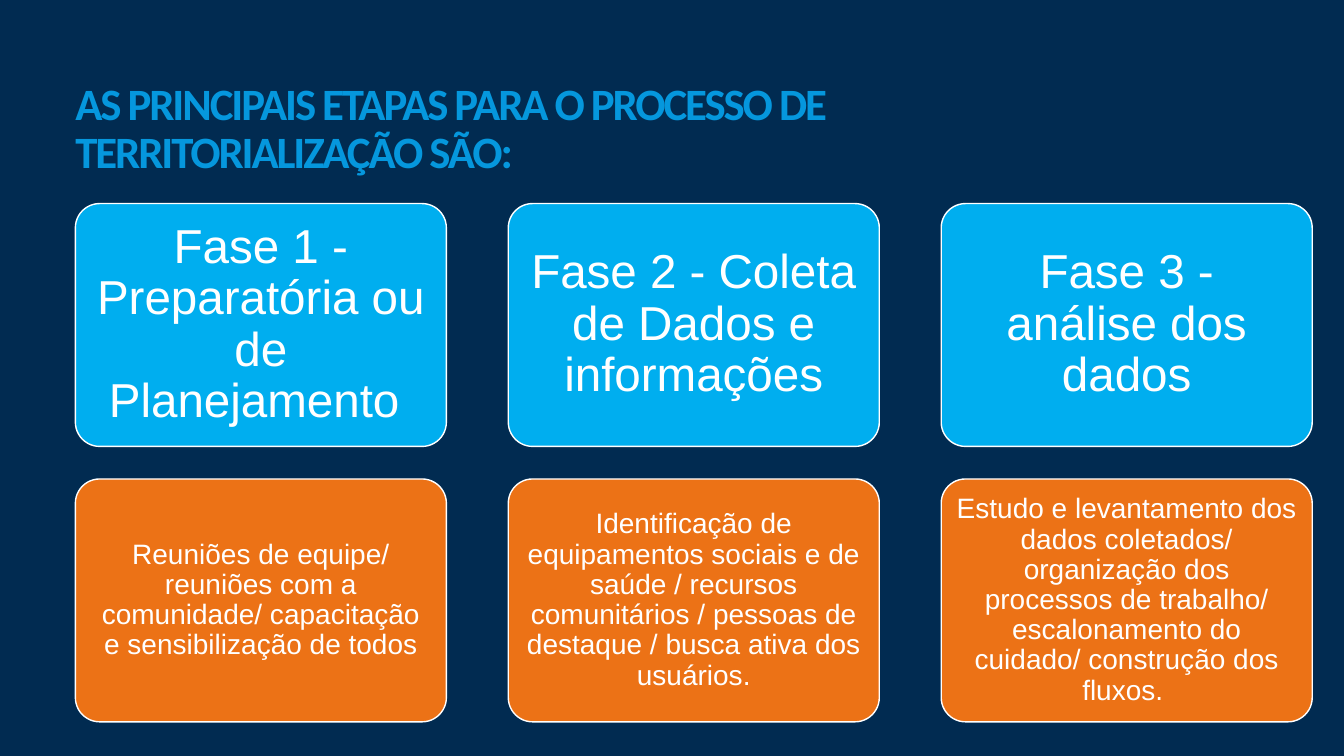
from dataclasses import dataclass

from pptx import Presentation
from pptx.dml.color import RGBColor
from pptx.enum.shapes import MSO_SHAPE
from pptx.enum.text import MSO_ANCHOR, MSO_AUTO_SIZE, PP_ALIGN
from pptx.util import Cm, Pt


@dataclass(frozen=True)
class Theme:
    """Colours, fonts and type sizes of the slide."""
    background: str = "012B51"
    heading: str = "0597DD"
    phase: str = "00AEEF"
    activity: str = "EC7216"
    light: str = "FFFFFF"
    heading_font: str = "Calibri"
    body_font: str = "Arial"
    heading_size: int = 32
    phase_size: int = 34
    activity_size: int = 20


THEME = Theme()
HEADING = "AS PRINCIPAIS ETAPAS PARA O PROCESSO DE TERRITORIALIZAÇÃO SÃO:"
PHASES = [
    ("Fase 1 - Preparatória ou de Planejamento ",
     "Reuniões de equipe/ reuniões com a comunidade/ capacitação "
     "e sensibilização de todos"),
    ("Fase 2 - Coleta de Dados e informações",
     "Identificação de equipamentos sociais e de saúde / recursos "
     "comunitários / pessoas de destaque / busca ativa dos usuários."),
    ("Fase 3 - análise dos dados",
     "Estudo e levantamento dos dados coletados/ organização dos "
     "processos de trabalho/ escalonamento do cuidado/ construção "
     "dos fluxos. "),
]


def write(frame, text, *, size, color, font, bold=False, tracking=None,
          align=PP_ALIGN.CENTER, anchor=MSO_ANCHOR.MIDDLE, inset=0):
    """Put one formatted paragraph in a text frame."""
    frame.word_wrap = True
    frame.auto_size = MSO_AUTO_SIZE.NONE
    frame.vertical_anchor = anchor
    frame.margin_left = frame.margin_right = Cm(inset)
    frame.margin_top = frame.margin_bottom = Cm(inset)
    paragraph = frame.paragraphs[0]
    paragraph.alignment = align
    paragraph.line_spacing = 0.9
    run = paragraph.add_run()
    run.text = text
    run.font.size = Pt(size)
    run.font.name = font
    run.font.bold = bold
    run.font.color.rgb = RGBColor.from_string(color)
    if tracking is not None:
        run.font._element.set("spc", str(round(tracking * 100)))


def add_heading(slide, left, top, width, height):
    """Place the slide title in the given box."""
    heading = slide.shapes.title
    heading.left, heading.top = Cm(left), Cm(top)
    heading.width, heading.height = Cm(width), Cm(height)
    write(heading.text_frame, HEADING, size=THEME.heading_size,
          color=THEME.heading, font=THEME.heading_font, bold=True,
          tracking=-1.5, align=PP_ALIGN.LEFT, anchor=MSO_ANCHOR.TOP)


def add_card(slide, left, top, width, height, text, fill, size, inset):
    """Draw one rounded card with its text."""
    card = slide.shapes.add_shape(MSO_SHAPE.ROUNDED_RECTANGLE, Cm(left),
                                  Cm(top), Cm(width), Cm(height))
    card.adjustments[0] = 0.1
    card.shadow.inherit = False
    card.fill.solid()
    card.fill.fore_color.rgb = RGBColor.from_string(fill)
    card.line.color.rgb = RGBColor.from_string(THEME.light)
    card.line.width = Pt(1)
    write(card.text_frame, text, size=size, color=THEME.light,
          font=THEME.body_font, inset=inset)


def add_phases(slide, left, top, width, height):
    """Lay out a column per phase, with its activities below its name."""
    card_width, card_height = 9.35, 6.12
    column_step = (width - card_width) / (len(PHASES) - 1)
    activity_top = top + height - card_height
    for column, (phase, activities) in enumerate(PHASES):
        x = left + column * column_step
        add_card(slide, x, top, card_width, card_height, phase,
                 THEME.phase, THEME.phase_size, 0.36)
        add_card(slide, x, activity_top, card_width, card_height, activities,
                 THEME.activity, THEME.activity_size, 0.2)


def main():
    """Build and save the presentation."""
    deck = Presentation()
    deck.slide_width, deck.slide_height = Cm(33.87), Cm(19.05)
    slide = deck.slides.add_slide(deck.slide_layouts[5])
    slide.background.fill.solid()
    slide.background.fill.fore_color.rgb = RGBColor.from_string(THEME.background)
    add_heading(slide, 1.9, 2.06, 25.93, 1.2)
    add_phases(slide, 1.9, 5.13, 31.17, 13.06)
    deck.save("out.pptx")


if __name__ == "__main__":
    main()
